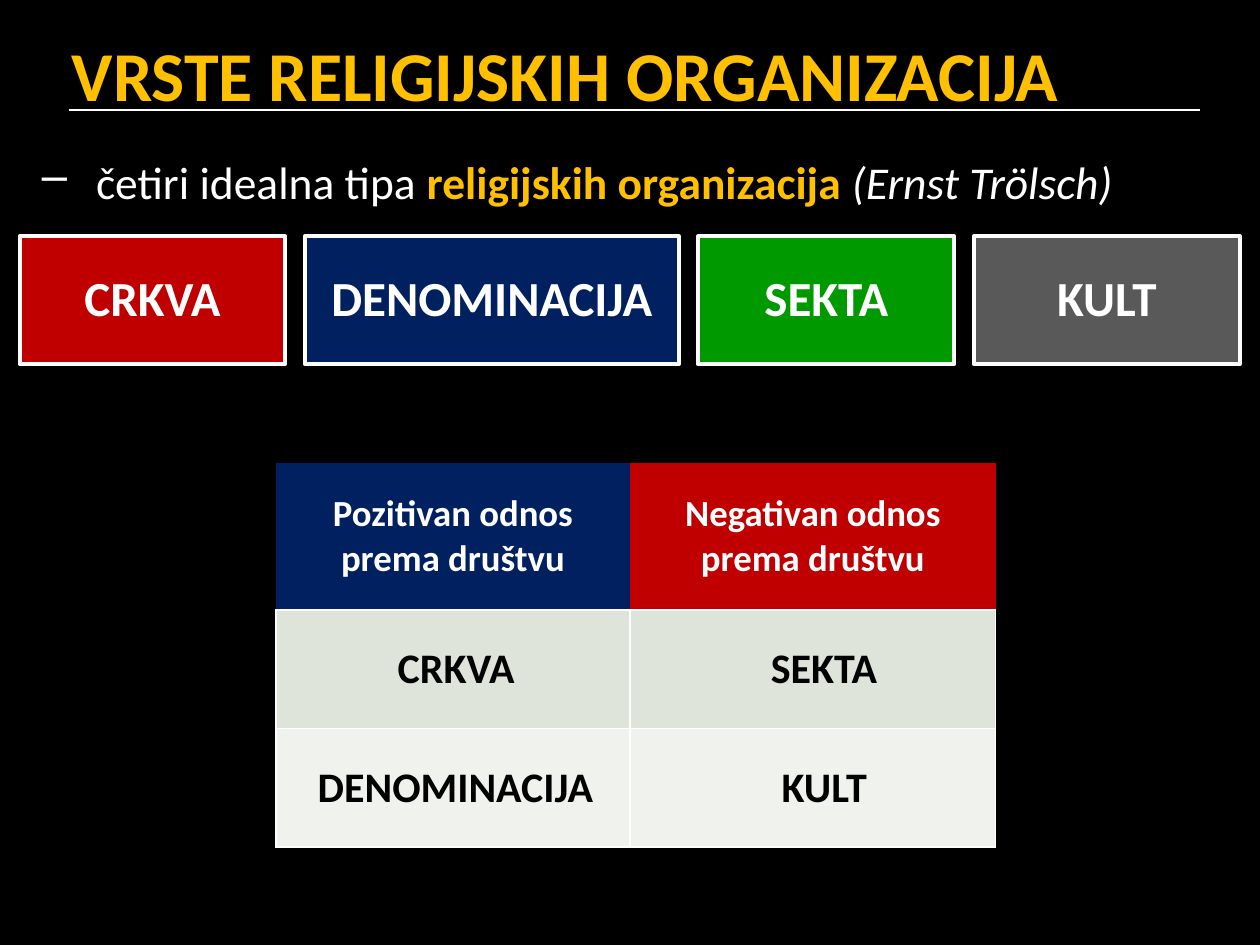
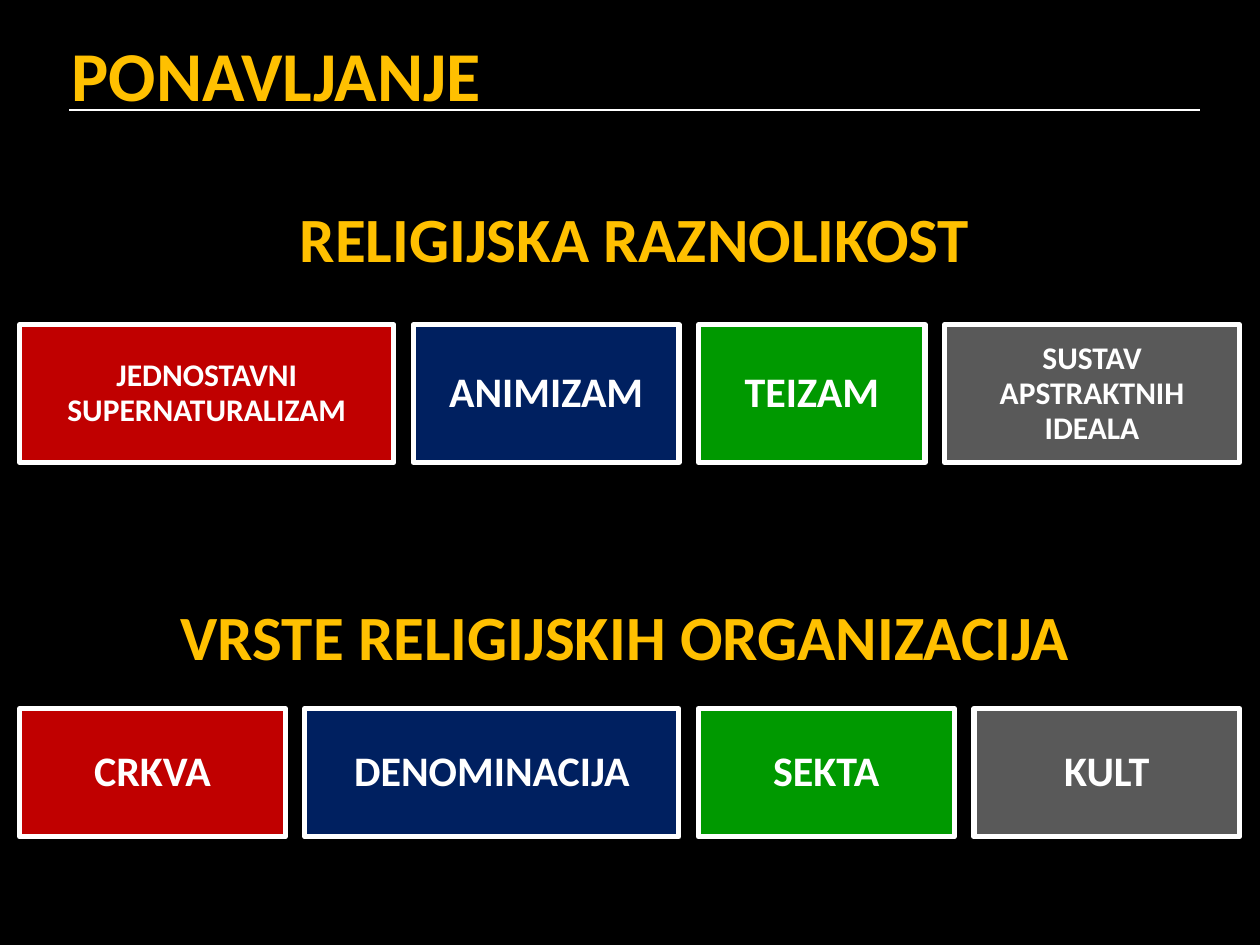
from pptx import Presentation
from pptx.util import Pt
from pptx.dml.color import RGBColor
from pptx.enum.shapes import MSO_SHAPE as Shape, MSO_CONNECTOR as Link
from pptx.enum.text import PP_ALIGN as Align, MSO_ANCHOR as Anchor, MSO_AUTO_SIZE as Fit
from pptx.oxml.ns import qn
from lxml.etree import SubElement as Sub

HUES = {
    "black": "000000", "white": "FFFFFF", "gold": "FFC000",
    "red": "C00000", "navy": "002060", "green": "009900", "gray": "595959",
    "sage": "DEE4D9", "mist": "EFF2ED",
}
FONT = "Calibri"
ORDER = ["red", "navy", "green", "gray"]
LEFT, GAP = 11.3, 11.2

TITLE = "VRSTE RELIGIJSKIH ORGANIZACIJA"
REVIEW = "PONAVLJANJE"
INTRO = [
    ("četiri idealna tipa ", "white", False, False),
    ("religijskih organizacija ", "gold", True, False),
    ("(Ernst Trölsch)", "white", False, True),
]
KINDS = [("CRKVA", 151.7), ("DENOMINACIJA", 213.7), ("SEKTA", 146.2), ("KULT", 151.9)]
FAITHS = [("JEDNOSTAVNI SUPERNATURALIZAM", 213.7), ("ANIMIZAM", 151.8),
          ("TEIZAM", 129.4), ("SUSTAV APSTRAKTNIH IDEALA", 168.5)]
HEADS = [(TITLE, 5.5, 337.8, 50.5), ("RELIGIJSKA RAZNOLIKOST", 11, 106.8, 57)]
COLS = [202.3, 209]
ROWS = [
    (84, ["navy", "red"]),
    (67.7, ["sage", "sage"]),
    (67.7, ["mist", "mist"]),
]
STANCES = ["Pozitivan odnos prema društvu", "Negativan odnos prema društvu"]
MIDS = [261.2, 471.2]
NAMES = [
    (365.8, [("CRKVA", 82), ("SEKTA", 75.6)]),
    (433.4, [("DENOMINACIJA", 173.5), ("KULT", 63.4)]),
]


def hue(name):
    return RGBColor.from_string(HUES[name])


def style(font, size, color, bold=True):
    font.name, font.size, font.bold = FONT, Pt(size), bold
    font.color.rgb = hue(color)


def write(frame, text, size, color, align=Align.CENTER, space=None):
    frame.word_wrap = True
    frame.vertical_anchor = Anchor.MIDDLE
    para = frame.paragraphs[0]
    para.text, para.alignment = text, align
    if space:
        para.line_spacing = space
    style(para.font, size, color)


def label(slide, text, box, size, align=Align.CENTER):
    area = slide.shapes.add_textbox(*map(Pt, box))
    write(area.text_frame, text, size, "gold", align)


def start(deck, title):
    slide = deck.slides.add_slide(deck.slide_layouts[6])
    slide.background.fill.solid()
    slide.background.fill.fore_color.rgb = hue("black")
    rule = slide.shapes.add_connector(Link.STRAIGHT, Pt(39.5), Pt(62.7), Pt(686), Pt(62.7))
    rule.line.color.rgb = hue("white")
    rule.line.width = Pt(1)
    Sub(rule._element.spPr, qn("a:effectLst"))
    label(slide, title, (34, 16.7, 703.5, 50.5), 40, Align.LEFT)
    return slide


def tiles(slide, items, top, high, size, edge, small=18):
    left = LEFT
    for (text, wide), color in zip(items, ORDER):
        tile = slide.shapes.add_shape(Shape.RECTANGLE, Pt(left), Pt(top), Pt(wide), Pt(high))
        tile.shadow.inherit = False
        tile.fill.solid()
        tile.fill.fore_color.rgb = hue(color)
        tile.line.color.rgb = hue("white")
        tile.line.width = Pt(edge)
        write(tile.text_frame, text, small if " " in text else size, "white", space=0.93)
        left += wide + GAP


def intro(slide):
    frame = slide.shapes.add_textbox(Pt(16.8), Pt(84.2), Pt(692), Pt(438.5)).text_frame
    frame.word_wrap = True
    para = frame.paragraphs[0]
    para.space_before = Pt(12)
    props = para._p.get_or_add_pPr()
    props.set("marL", str(Pt(31)))
    props.set("indent", str(Pt(-31)))
    tint = Sub(props, qn("a:buClr"))
    Sub(tint, qn("a:srgbClr"), val=HUES["white"])
    Sub(props, qn("a:buChar"), char="–")
    style(para.font, 26, "white", False)
    for text, color, bold, slant in INTRO:
        run = para.add_run()
        run.text = text
        style(run.font, 26, color, bold)
        run.font.italic = slant


def borders(cell, head):
    props = cell._tc.get_or_add_tcPr()
    for side in "LRTB":
        line = Sub(props, qn("a:ln" + side), w=str(Pt(1)))
        if head and side != "B":
            Sub(line, qn("a:noFill"))
        else:
            fill = Sub(line, qn("a:solidFill"))
            Sub(fill, qn("a:srgbClr"), val=HUES["white"])


def grid(slide):
    high = sum(row[0] for row in ROWS)
    table = slide.shapes.add_table(len(ROWS), len(COLS), Pt(157.7), Pt(264.5),
                                   Pt(sum(COLS)), Pt(high)).table
    for col, wide in zip(table.columns, COLS):
        col.width = Pt(wide)
    for r, (tall, fills) in enumerate(ROWS):
        table.rows[r].height = Pt(tall)
        for c, color in enumerate(fills):
            cell = table.cell(r, c)
            borders(cell, r == 0)
            cell.fill.solid()
            cell.fill.fore_color.rgb = hue(color)
            cell.margin_left = cell.margin_right = Pt(8.6)
            cell.margin_top = cell.margin_bottom = Pt(4.3)
            cell.vertical_anchor = Anchor.MIDDLE
    for c, text in enumerate(STANCES):
        cell = table.cell(0, c)
        write(cell.text_frame, text, 21, "white")
        cell.vertical_anchor = Anchor.MIDDLE


def names(slide):
    for top, pair in NAMES:
        for (text, wide), mid in zip(pair, MIDS):
            area = slide.shapes.add_textbox(Pt(mid - wide / 2), Pt(top), Pt(wide), Pt(34.6))
            frame = area.text_frame
            write(frame, text, 24, "black", Align.LEFT, 0.93)
            frame.word_wrap = False
            frame.vertical_anchor = Anchor.TOP
            frame.auto_size = Fit.SHAPE_TO_FIT_TEXT


def main():
    deck = Presentation()
    deck.slide_width, deck.slide_height = Pt(720), Pt(540)

    types = start(deck, TITLE)
    intro(types)
    tiles(types, KINDS, 135, 73.2, 28, 2.25)
    grid(types)
    names(types)

    review = start(deck, REVIEW)
    for text, left, top, high in HEADS:
        label(review, text, (left, top, 703.5, high), 36)
    tiles(review, FAITHS, 185.6, 78.7, 24, 3)
    tiles(review, KINDS, 405, 73.2, 24, 3)

    deck.save("out.pptx")


if __name__ == "__main__":
    main()
